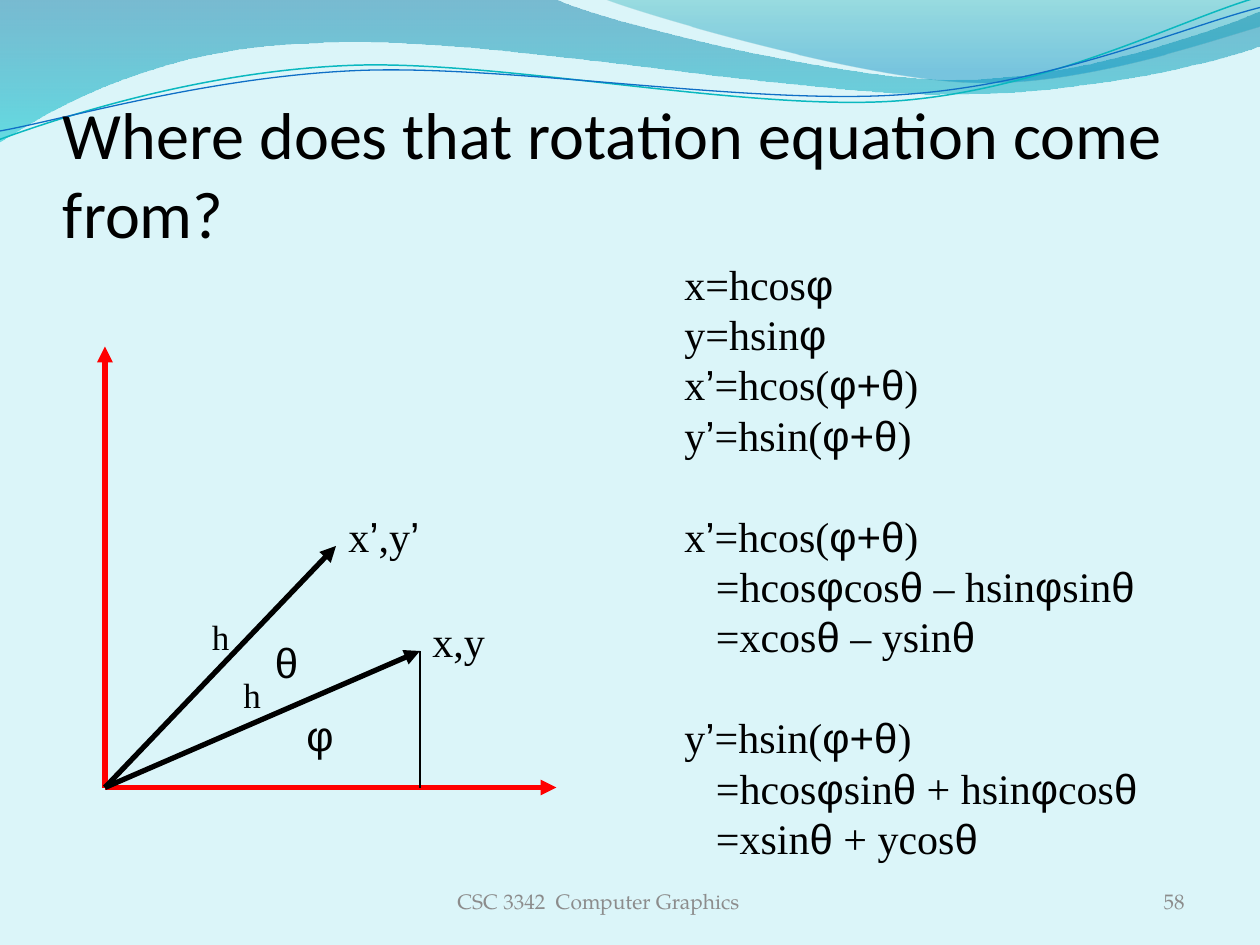
from itertools import groupby
from lxml.etree import SubElement as Sub
from pptx import Presentation
from pptx.dml.color import RGBColor as RGB
from pptx.enum.shapes import MSO_CONNECTOR as Conn
from pptx.enum.text import MSO_ANCHOR as Anchor, PP_ALIGN as Align
from pptx.oxml.ns import qn
from pptx.util import Pt

TIMES, FOOT = "Times New Roman", "TeX Gyre Pagella"


def trace(start, steps, close):
    """Outline from steps: a line (x, y) or a cubic curve (six numbers)."""
    knots = [(Pt(s[i]), Pt(s[i + 1])) for s in steps for i in range(0, len(s), 2)]
    pen = shapes.build_freeform(Pt(start[0]), Pt(start[1]))
    pen.add_line_segments(knots, close=close)
    form = pen.convert_to_shape()
    form.shadow.inherit = False
    lines = iter(list(form._element.spPr.iter(qn("a:lnTo"))))
    for step in steps:
        line = next(lines)
        if len(step) == 6:
            line.tag = qn("a:cubicBezTo")
            for _ in range(2):
                extra = next(lines)
                line.append(extra[0])
                extra.getparent().remove(extra)
    return form


def write(box, lines, size, font, color="000000", wrap=True):
    """Text box with Greek letters and primes set in Arial."""
    item = shapes.add_textbox(*[Pt(v) for v in box])
    frame = item.text_frame
    frame.word_wrap = wrap
    for i, line in enumerate(lines):
        para = frame.paragraphs[0] if i == 0 else frame.add_paragraph()
        for sign, part in groupby(line, lambda c: c in "φθ’" or (c == "+" and "(φ+θ)" in line)):
            run = para.add_run()
            run.text = "".join(part)
            run.font.name = "Arial" if sign else font
            run.font.size = Pt(size)
            run.font.color.rgb = RGB.from_string(color)
    return frame


prs = Presentation()
prs.slide_width, prs.slide_height = Pt(720), Pt(540)
slide = prs.slides.add_slide(prs.slide_layouts[6])
shapes = slide.shapes
back = slide.background.fill
back.solid()
back.fore_color.rgb = RGB.from_string("DBF5F9")

# Waves along the top: start, steps, then (place, colour, opacity) per stop
waves = [
    ((-0.7, -0.7),
     [(317, -0.7), (343, 12, 478, 45.4, 546, 45.4), (614, 45.4, 690, 19, 720, 6.5),
      (721, 26), (708, 32, 626, 54.7, 537, 54), (448, 54, 275, 20, 185, 24.5),
      (93, 26, 33, 60, -0.7, 81.4)],
     [(0, "0074A1", 45), (1, "00C6CF", 55)]),
    ((345, -0.7),
     [(366, 8, 491, 44.6, 554, 46.8), (616, 49.7, 692, 23, 720, 15), (720, -0.7)],
     [(0, "00A1A9", 30), (0.8, "008BBF", 45)]),
]
for start, steps, stops in waves:
    wave = trace(start, steps, True)
    wave.line.fill.background()
    wave.fill.gradient()
    wave.fill.gradient_angle = 270
    for stop, (place, color, alpha) in zip(wave.fill.gradient_stops, stops):
        stop.position = place
        stop.color.rgb = RGB.from_string(color)
    tones = wave._element.spPr.iter(qn("a:srgbClr"))
    for tone, (place, color, alpha) in zip(tones, stops):
        Sub(tone, qn("a:alpha"), val=str(alpha * 1000))

threads = [
    ((-2.4, 63), [(33.8, 51.7, 114.1, 29.4, 199.8, 29.9),
                  (284.9, 30.3, 425.8, 67.2, 512.4, 64.9),
                  (599, 62.3, 676.5, 25.7, 720.2, 15.5)], "0AB8BF", 0.85),
    ((-2.1, 58), [(33, 53.7, 118.2, 32.6, 204.1, 33),
                  (290.6, 33.4, 428.9, 63.8, 515.5, 61.4),
                  (601.4, 59.6, 678.4, 30, 721.4, 21.3)], "0F6FC6", 0.75),
]
for start, steps, color, width in threads:
    thread = trace(start, steps, False)
    thread.rotation = -2.7
    thread.fill.background()
    thread.line.color.rgb = RGB.from_string(color)
    thread.line.width = Pt(width)

title = write((36, 54, 648, 90), ["Where does that rotation equation come from?"],
              37.8, "Calibri")
title.vertical_anchor = Anchor.BOTTOM
title.margin_left = title.margin_right = title.margin_bottom = 0

# Derivation: lines starting with "=" are indented, each later block gets a gap
blocks = [
    ["x=hcosφ", "y=hsinφ", "x’=hcos(φ+θ)", "y’=hsin(φ+θ)"],
    ["x’=hcos(φ+θ)", "=hcosφcosθ – hsinφsinθ", "=xcosθ – ysinθ"],
    ["y’=hsin(φ+θ)", "=hcosφsinθ + hsinφcosθ", "=xsinθ + ycosθ"],
]
proof = write((384, 144, 300, 352), sum(blocks, []), 24, TIMES)
for para in proof.paragraphs:
    para.line_spacing = Pt(28.8)
    if para.text.startswith("="):
        para._p.get_or_add_pPr().set("marL", str(Pt(18)))
for first in (4, 7):
    proof.paragraphs[first].space_before = Pt(28.8)

# Axes, the two vectors and the drop line
zero, tip = (60, 450), (240, 372)
rays = [
    (zero, (318, 450), "FF0000", 3),
    (zero, (60, 198), "FF0000", 3),
    (zero, tip, "000000", 3),
    (zero, (192, 312), "000000", 3),
    (tip, (240, 450), "000000", 1),
]
for start, end, color, width in rays:
    ray = shapes.add_connector(Conn.STRAIGHT, *[Pt(v) for v in start + end])
    ray.line.color.rgb = RGB.from_string(color)
    ray.line.width = Pt(width)
    if start == zero:
        Sub(ray.line._get_or_add_ln(), qn("a:tailEnd"), type="triangle")
    Sub(ray._element.spPr, qn("a:effectLst"))

labels = [
    ("x,y", 240, 348, 44.6, 24), ("x’,y’", 192, 288, 60.5, 24),
    ("θ", 150, 360, 27.4, 24), ("φ", 168, 402, 27.4, 24),
    ("h", 114, 348, 24.5, 20), ("h", 132, 381.6, 24.5, 20),
]
for text, left, top, width, size in labels:
    write((left, top, width, size * 1.5), [text], size, TIMES, wrap=False)

feet = [("CSC 3342  Computer Graphics", 210, 264, Align.CENTER),
        ("58", 516, 168, Align.RIGHT)]
for text, left, width, align in feet:
    foot = write((left, 500.4, width, 28.8), [text], 12, FOOT, "8C8C8C")
    foot.vertical_anchor = Anchor.MIDDLE
    foot.paragraphs[0].alignment = align

prs.save("out.pptx")
